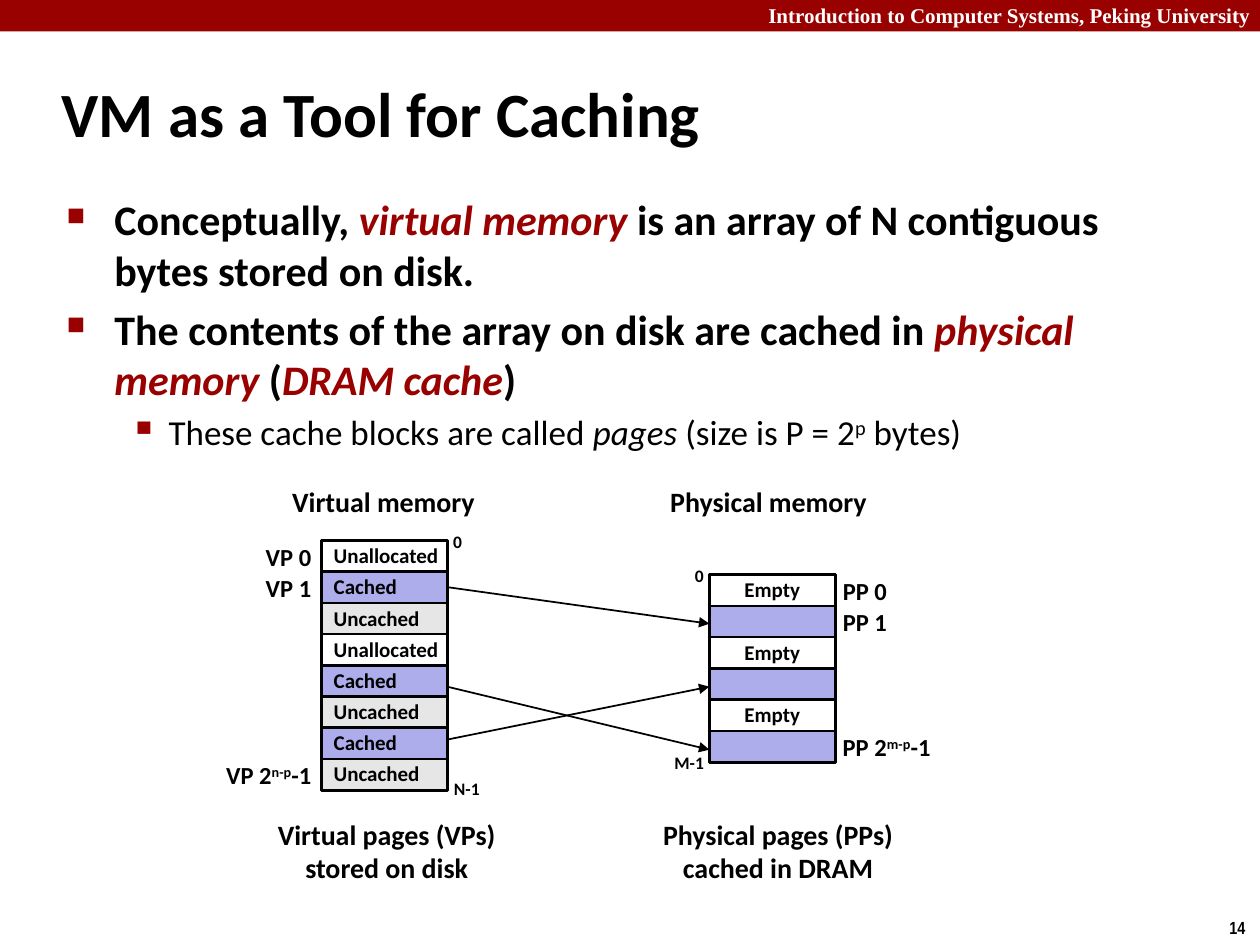
from lxml.etree import SubElement
from pptx import Presentation
from pptx.dml.color import RGBColor
from pptx.enum.shapes import MSO_CONNECTOR, MSO_SHAPE
from pptx.enum.text import MSO_ANCHOR, PP_ALIGN
from pptx.oxml.ns import qn
from pptx.util import Inches, Pt

RED = RGBColor(0x99, 0x00, 0x00)
BLACK = RGBColor(0x00, 0x00, 0x00)
WHITE = RGBColor(0xFF, 0xFF, 0xFF)
BLUE = RGBColor(0xAD, 0xAD, 0xEB)
GRAY = RGBColor(0xE6, 0xE6, 0xE6)
LEFT, MID, RIGHT = PP_ALIGN.LEFT, PP_ALIGN.CENTER, PP_ALIGN.RIGHT
FILLS = {"Unallocated": WHITE, "Empty": WHITE, "Cached": BLUE, "": BLUE, "Uncached": GRAY}


def put_text(frame, text, size=12, face="Calibri", color=BLACK, bold=True, align=LEFT,
             wrap=False, anchor=MSO_ANCHOR.MIDDLE, space=None, fresh=True):
    frame.word_wrap = wrap
    frame.vertical_anchor = anchor
    para = frame.paragraphs[0] if fresh else frame.add_paragraph()
    para.alignment = align
    para.line_spacing = space
    for part in [text] if isinstance(text, str) else text:
        words, style = (part, "") if isinstance(part, str) else part
        run = para.add_run()
        run.text = words
        font = run.font
        font.name, font.size, font.bold = face, Pt(size), bold
        font.italic = "i" in style
        font.color.rgb = RED if "r" in style else color
        if "^" in style:
            run._r.get_or_add_rPr().set("baseline", "30000")
    return para


def add_text(slide, box, text, **form):
    frame = slide.shapes.add_textbox(*map(Inches, box)).text_frame
    put_text(frame, text, **form)
    return frame


def add_rect(slide, box, fill, line=None):
    rect = slide.shapes.add_shape(MSO_SHAPE.RECTANGLE, *map(Inches, box))
    rect.shadow.inherit = False
    rect.fill.solid()
    rect.fill.fore_color.rgb = fill
    if line is None:
        rect.line.fill.background()
    else:
        rect.line.color.rgb = line
        rect.line.width = Pt(1.5)
    return rect


def add_arrow(slide, start, end):
    line = slide.shapes.add_connector(MSO_CONNECTOR.STRAIGHT, *map(Inches, start + end))
    line.line.color.rgb = BLACK
    line.line.width = Pt(1)
    SubElement(line.line._get_or_add_ln(), qn("a:tailEnd"), type="triangle")
    SubElement(line._element.spPr, qn("a:effectLst"))


def add_bullet(para, mark, scale, level, left, hang):
    para.level = level
    props = para._p.get_or_add_pPr()
    props.set("marL", str(Inches(left)))
    props.set("indent", str(-Inches(hang)))
    tint = SubElement(props, qn("a:buClr"))
    SubElement(tint, qn("a:srgbClr"), val=str(RED))
    SubElement(props, qn("a:buSzPct"), val=str(scale * 1000))
    SubElement(props, qn("a:buChar"), char=mark)


def add_frame(slide, box):
    x, y, w, h = box
    add_rect(slide, (x, y, w, 0.25), RED)
    add_text(slide, (x + 6, y - 0.03, 4.07, 0.3),
             "Introduction to Computer Systems, Peking University",
             face="Times New Roman", color=WHITE, wrap=True, anchor=MSO_ANCHOR.TOP)
    add_text(slide, (x + w - 0.34, y + h - 0.27, 0.34, 0.27), "14", size=10,
             face="Arial Narrow", anchor=MSO_ANCHOR.TOP)


def add_points(slide, box):
    frame = slide.shapes.add_textbox(*map(Inches, box)).text_frame
    points = [
        (0, ["Conceptually,", (" virtual memory ", "ir"),
             "is an array of N contiguous bytes stored on disk."]),
        (0, ["The contents of the array on disk are cached in ", ("physical memory", "ir"),
             " (", ("DRAM cache", "ir"), ")"]),
        (1, ["These cache blocks are called ", ("pages ", "i"), "(size is P = 2",
             ("p", "^"), " bytes)"]),
    ]
    looks = [(24, True, ("■", 60, 0, 0.38, 0.38)), (20, False, ("▪", 110, 1, 0.81, 0.31))]
    for i, (level, text) in enumerate(points):
        size, bold, mark = looks[level]
        para = put_text(frame, text, size=size, bold=bold, wrap=True,
                        anchor=MSO_ANCHOR.TOP, fresh=i == 0)
        add_bullet(para, *mark)
        if i:
            para.space_before = Pt(size * 0.2)


def add_pages(slide, box, names, align, labels, side):
    x, y, w, h = box
    step = h / len(names)
    for i, name in enumerate(names):
        cell = add_rect(slide, (x, y + i * step, w, 0.25), FILLS[name], BLACK)
        if name:
            put_text(cell.text_frame, name, align=align, space=0.98)
    for row, width, text in labels:
        left = x + 0.02 - width if side == RIGHT else x + w - 0.04
        add_text(slide, (left, y + row * step - 0.02, width, 0.31), text,
                 size=14, align=side, space=0.98)


def add_chart_art(slide, box):
    x, y, w, h = box
    add_pages(slide, (x + 0.88, y + 0.46, 1, 1.98),
              ["Unallocated", "Cached", "Uncached", "Unallocated",
               "Cached", "Uncached", "Cached", "Uncached"], LEFT,
              [(0, 0.56, "VP 0"), (1, 0.56, "VP 1"),
               (7, 0.9, ["VP 2", ("n-p", "^"), "-1"])], RIGHT)
    add_pages(slide, (x + 3.96, y + 0.73, 1, 1.49), ["Empty", ""] * 3, MID,
              [(0, 0.55, "PP 0"), (1, 0.55, "PP 1"),
               (5, 0.93, ["PP 2", ("m-p", "^"), "-1"])], LEFT)
    for start, end in [(0.83, 1.12), (1.62, 2.12), (2.04, 1.62)]:
        add_arrow(slide, (x + 1.88, y + start), (x + 3.96, y + end))
    for left, top, width, text in [(1.82, 0.34, 0.28, "0"), (1.83, 2.3, 0.41, "N-1"),
                                   (3.74, 0.61, 0.28, "0"), (3.58, 2.09, 0.44, "M-1")]:
        add_text(slide, (x + left, y + top, width, 0.27), text, size=10,
                 align=MID, space=0.98)
    for left, width, text in [(0.54, 1.67, "Virtual memory"), (3.54, 1.78, "Physical memory")]:
        add_text(slide, (x + left, y, width, 0.33), text, size=16, align=MID, space=0.88)
    for left, width, lines in [(0.42, 1.96, ["Virtual pages (VPs)", "stored on disk"]),
                               (3.48, 2.05, ["Physical pages (PPs)", "cached in DRAM"])]:
        form = dict(size=16, align=MID, space=0.98)
        frame = add_text(slide, (x + left, y + h - 0.63, width, 0.63), lines[0], **form)
        put_text(frame, lines[1], fresh=False, **form)


def main():
    deck = Presentation()
    deck.slide_width, deck.slide_height = Inches(10), Inches(7.5)
    slide = deck.slides.add_slide(deck.slide_layouts[6])
    add_frame(slide, (0, 0, 10, 7.5))
    add_text(slide, (0.39, 0.48, 8.3, 0.83), "VM as a Tool for Caching", size=36, wrap=True)
    add_points(slide, (0.43, 1.49, 8.64, 2.26))
    add_chart_art(slide, (1.67, 3.83, 5.85, 3.25))
    deck.save("out.pptx")


if __name__ == "__main__":
    main()
